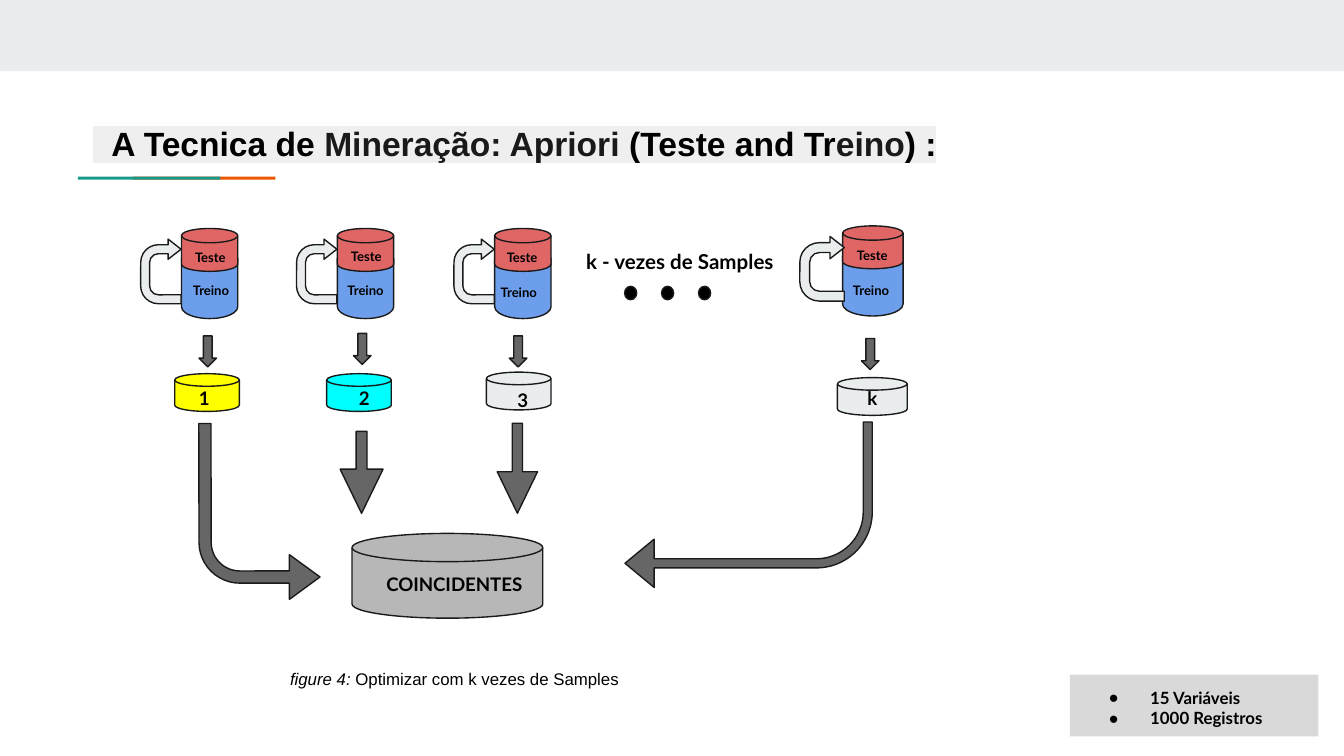
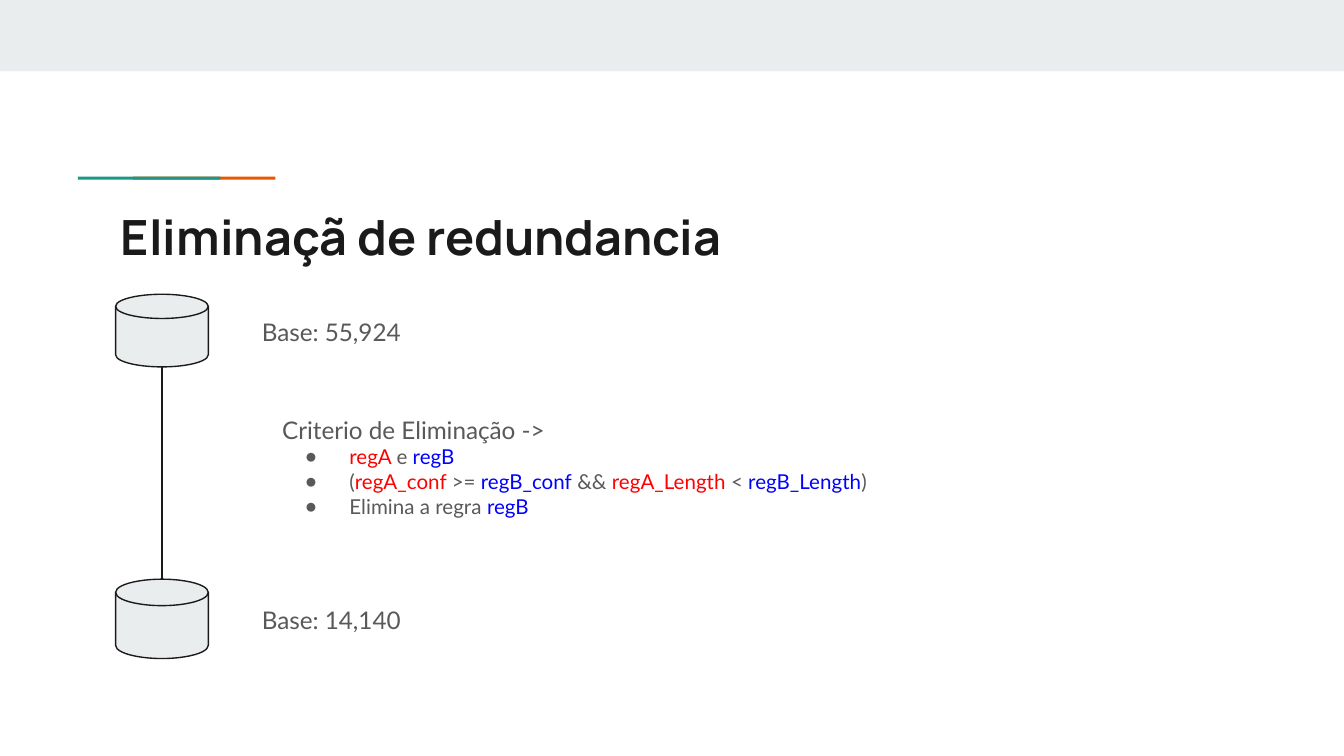
from pptx import Presentation
from pptx.dml.color import RGBColor
from pptx.enum.shapes import MSO_CONNECTOR, MSO_SHAPE
from pptx.enum.text import MSO_ANCHOR, MSO_AUTO_SIZE, PP_ALIGN
from pptx.oxml.ns import qn
from pptx.util import Pt
from lxml import etree

RECT, OVAL = MSO_SHAPE.RECTANGLE, MSO_SHAPE.OVAL
DISK, DOWN = MSO_SHAPE.FLOWCHART_MAGNETIC_DISK, MSO_SHAPE.DOWN_ARROW
TURN, BENT = MSO_SHAPE.U_TURN_ARROW, MSO_SHAPE.BENT_ARROW
LEFT, MID = PP_ALIGN.LEFT, PP_ALIGN.CENTER
TOP, LOW = MSO_ANCHOR.TOP, MSO_ANCHOR.BOTTOM


class Theme:
    ink, black, gray, dark = "1A1A1A", "000000", "595959", "666666"
    pale, teal, rust = "E9EDEE", "1A9988", "EB5600"
    blue, rose, steel, note = "6D9EEB", "E06666", "B7B7B7", "D9D9D9"
    gold, cyan, mark = "FFFF00", "00FFFF", "EFEFEF"
    rega, regb = "FF0000", "0000FF"
    line = 0.75
    # Text styles: font, size, bold, italic
    head = ("Arial", 18, True, False)
    title = ("Manrope", 26, True, False)
    tiny = ("Lato", 7, True, False)
    bold = ("Lato", 10, True, False)
    wide = ("Lato", 11, True, False)
    fact = ("Lato", 9, True, False)
    fig = ("Arial", 9, False, True)
    cap = ("Arial", 9, False, False)
    body = ("Lato", 13, False, False)
    item = ("Lato", 11, False, False)


def draw(slide, kind, box, fill, line=True, adj=(), turn=0):
    shape = slide.shapes.add_shape(kind, *[Pt(v) for v in box])
    shape.shadow.inherit = False
    shape.fill.solid()
    shape.fill.fore_color.rgb = RGBColor.from_string(fill)
    if line:
        shape.line.color.rgb = RGBColor.from_string(Theme.ink)
        shape.line.width = Pt(Theme.line)
    else:
        shape.line.fill.background()
    for i, v in enumerate(adj):
        shape.adjustments[i] = v
    shape.rotation = turn
    return shape


def write(shape, paras, box=None, align=LEFT, anchor=TOP, space=1.0, mark=None):
    """Each paragraph is (bullet, runs): bullet is (hang, colour) or None,
    and a run is (text, style, colour)."""
    if box:
        shape.left, shape.top, shape.width, shape.height = [Pt(v) for v in box]
    frame = shape.text_frame
    frame.auto_size = MSO_AUTO_SIZE.NONE
    frame.word_wrap = align == LEFT
    frame.vertical_anchor = anchor
    frame.margin_left = frame.margin_right = Pt(7.2)
    frame.margin_top = frame.margin_bottom = Pt(7.2)
    for n, (bullet, runs) in enumerate(paras):
        para = frame.add_paragraph() if n else frame.paragraphs[0]
        para.alignment, para.line_spacing = align, space
        para.space_before = para.space_after = Pt(0)
        props = para._p.get_or_add_pPr()
        props.set("marL", str(Pt(36) if bullet else 0))
        props.set("indent", str(-Pt(bullet[0]) if bullet else 0))
        if bullet:
            tint = etree.SubElement(props, qn("a:buClr"))
            etree.SubElement(tint, qn("a:srgbClr")).set("val", bullet[1])
            etree.SubElement(props, qn("a:buFont")).set("typeface", "Arial")
            etree.SubElement(props, qn("a:buChar")).set("char", "●")
        else:
            etree.SubElement(props, qn("a:buNone"))
        for text, style, color in runs:
            run = para.add_run()
            run.text = text
            font = run.font
            name, size, font.bold, font.italic = style
            font.size = Pt(size)
            font.color.rgb = RGBColor.from_string(color)
            if mark:
                light = etree.SubElement(run._r.get_or_add_rPr(), qn("a:highlight"))
                etree.SubElement(light, qn("a:srgbClr")).set("val", mark)
            font.name = name


deck = Presentation()
deck.slide_width, deck.slide_height = Pt(720), Pt(405)
one = deck.slides.add_slide(deck.slide_layouts[0])
two = deck.slides.add_slide(deck.slide_layouts[1])

# Shared band and accent rule, placed on the master
tree = deck.slide_master.shapes.element
parts = [((0, 0, 720, 38.2), Theme.pale),
         ((71.2, 94.7, 76.3, 1.6), Theme.rust),
         ((41.8, 94.7, 76.3, 1.6), Theme.teal)]
for i, (box, fill) in enumerate(parts):
    node = draw(one, RECT, box, fill, line=False).element
    node.nvSpPr.cNvPr.id = 20 + i
    tree.insert(2 + i, node)

# Slide 1: title
sub = one.placeholders[1].element
sub.getparent().remove(sub)
words = [("  ", Theme.ink), ("A Tecnica de ", Theme.black),
         ("Mineração: Apriori", Theme.ink), (" (Teste and Tr", Theme.black),
         ("eino", Theme.ink), (") :", Theme.black)]
write(one.shapes.title, [(None, [(t, Theme.head, c) for t, c in words])],
      (42.5, 56.2, 487.4, 38.2), anchor=LOW, space=1.15, mark=Theme.mark)

# Samples: stacked disks with a loop, an arrow and a numbered disk.
# Stack (left, top, width), arrow (left, top), disk (left, top, width, fill)
samples = [
    ((97.2, 122.4, 30.2), (106.6, 180), (93.6, 200.2, 34.6, Theme.gold)),
    ((180.7, 122.4, 30.2), (189.4, 178.6), (175, 200.2, 34.6, Theme.cyan)),
    ((265, 122.4, 30.2), (272.9, 180), (260.6, 199.4, 34.6, Theme.pale)),
    ((451.4, 121, 32.4), (461.5, 181.4), (448.6, 202.3, 37.4, Theme.pale)),
]
for (x, y, w), (ax, ay), (dx, dy, dw, fill) in samples:
    draw(one, DISK, (x, y + 10.1, w, 38.2), Theme.blue)
    draw(one, DISK, (x, y, w, 23), Theme.rose)
    deep = w - 8.6
    draw(one, TURN, (x - 28.3, y + 23 - deep / 2, 34.6, deep), Theme.pale,
         adj=(0.222, 0.25, 0.32, 0.438, 1), turn=270)
    draw(one, DOWN, (ax, ay, 9.4, 16.6), Theme.dark, adj=(0.5, 0.5))
    draw(one, DISK, (dx, dy, dw, 20.2), fill)

# Arrows into the matching set
draw(one, DOWN, (182.2, 231.1, 23, 43.9), Theme.dark, adj=(0.255, 1.029))
draw(one, DOWN, (266.4, 226.8, 21.6, 48.2), Theme.dark, adj=(0.255, 1.029))
bend = draw(one, BENT, (106.6, 226.8, 64.8, 94.3), Theme.dark,
            adj=(0.101, 0.185, 0.253, 0.338), turn=179.9)
bend.element.spPr.xfrm.set("flipH", "1")
draw(one, BENT, (334.8, 226.1, 132.5, 88.6), Theme.dark,
     adj=(0.055, 0.146, 0.176, 0.338), turn=180)
draw(one, DISK, (188.6, 285.8, 102.2, 45.4), Theme.steel)
for i in range(3):
    draw(one, OVAL, (334.6 + 19.8 * i, 153.4, 6.5, 7.2), Theme.black)

# Centred labels: text, style, width, height, (middle, top) of each
labels = [("Teste", Theme.tiny, 31, 16.6, [(112.7, 126.7), (196.2, 126),
                                           (279.7, 126.7), (467.3, 125.3)]),
          ("Treino", Theme.tiny, 34.6, 23, [(113, 144), (195.8, 144),
                                            (277.9, 145.4), (466.6, 144)]),
          ("1", Theme.bold, 46, 20.2, [(109.4, 200.2)]),
          ("2", Theme.bold, 41.8, 20.2, [(195.1, 200.2)]),
          ("3", Theme.bold, 46, 20.2, [(280.1, 200.9)]),
          ("k", Theme.bold, 49, 20.2, [(467.3, 200.2)]),
          ("k - vezes de Samples", Theme.wide, 128.2, 34.6, [(364.3, 126)]),
          ("COINCIDENTES", Theme.bold, 125.3, 30.2, [(243.4, 299.5)])]
for text, style, w, h, spots in labels:
    for mid, y in spots:
        area = one.shapes.add_textbox(0, 0, 0, 0)
        write(area, [(None, [(text, style, Theme.black)])],
              (mid - w / 2, y, w, h), align=MID)

# Caption and fact box
area = one.shapes.add_textbox(0, 0, 0, 0)
write(area, [(None, [("figure 4:", Theme.fig, Theme.black),
                     (" Optimizar com k vezes de Samples", Theme.cap, Theme.black)])],
      (148.3, 349.2, 221, 23.8), space=1.15)
facts = draw(one, RECT, (573.1, 361.4, 133.2, 33.1), Theme.note, line=False)
write(facts, [((22.3, Theme.black), [(t, Theme.fact, Theme.black)])
              for t in ("15 Variáveis", "1000 Registros")])

# Slide 2: title
write(two.shapes.title,
      [(None, [("Eliminaçã de redundancia", Theme.title, Theme.ink)])],
      (57.6, 103.7, 605.5, 42.5))

# Bases before and after, joined by a line
bases = [("Base: 55,924", 157.7, 38.9, 162.7), ("Base: 14,140", 310.3, 42.5, 316.8)]
for text, y, h, ty in bases:
    draw(two, DISK, (61.9, y, 49.7, h), Theme.pale)
    area = two.shapes.add_textbox(0, 0, 0, 0)
    write(area, [(None, [(text, Theme.body, Theme.gray)])], (133.2, ty, 121.7, 28.1))
link = two.shapes.add_connector(MSO_CONNECTOR.STRAIGHT, Pt(86.8), Pt(196.6),
                                Pt(86.8), Pt(310.3))
link.line.color.rgb = RGBColor.from_string(Theme.ink)
link.line.width = Pt(Theme.line)
etree.SubElement(link.element.spPr, qn("a:effectLst"))

# Criterion list
gray, rega, regb = Theme.gray, Theme.rega, Theme.regb
rules = [[("regA ", rega), ("e", gray), (" regB", regb)],
         [("(", gray), ("regA_conf ", rega), (">= ", gray), ("regB_conf", regb),
          (" && ", gray), ("regA_Length ", rega), ("<", gray),
          (" regB_Length", regb), (")", gray)],
         [("Elimina a regra ", gray), ("regB", regb)]]
paras = [(None, [("Criterio de Eliminação ->", Theme.body, gray)])]
paras += [((23.8, gray), [(t, Theme.item, c) for t, c in rule]) for rule in rules]
write(two.placeholders[1], paras, (144, 215.3, 499, 80.6))

deck.save("out.pptx")
